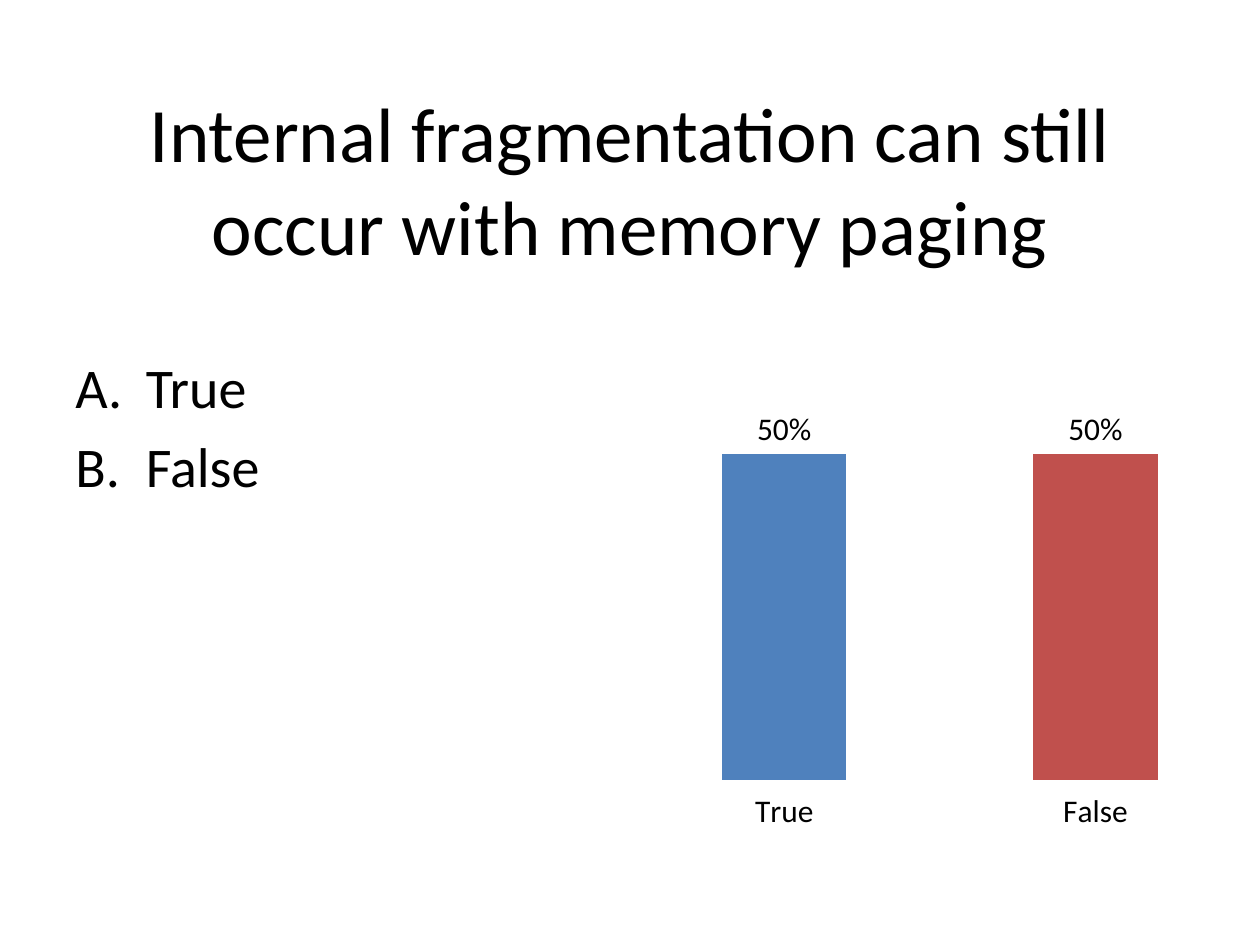
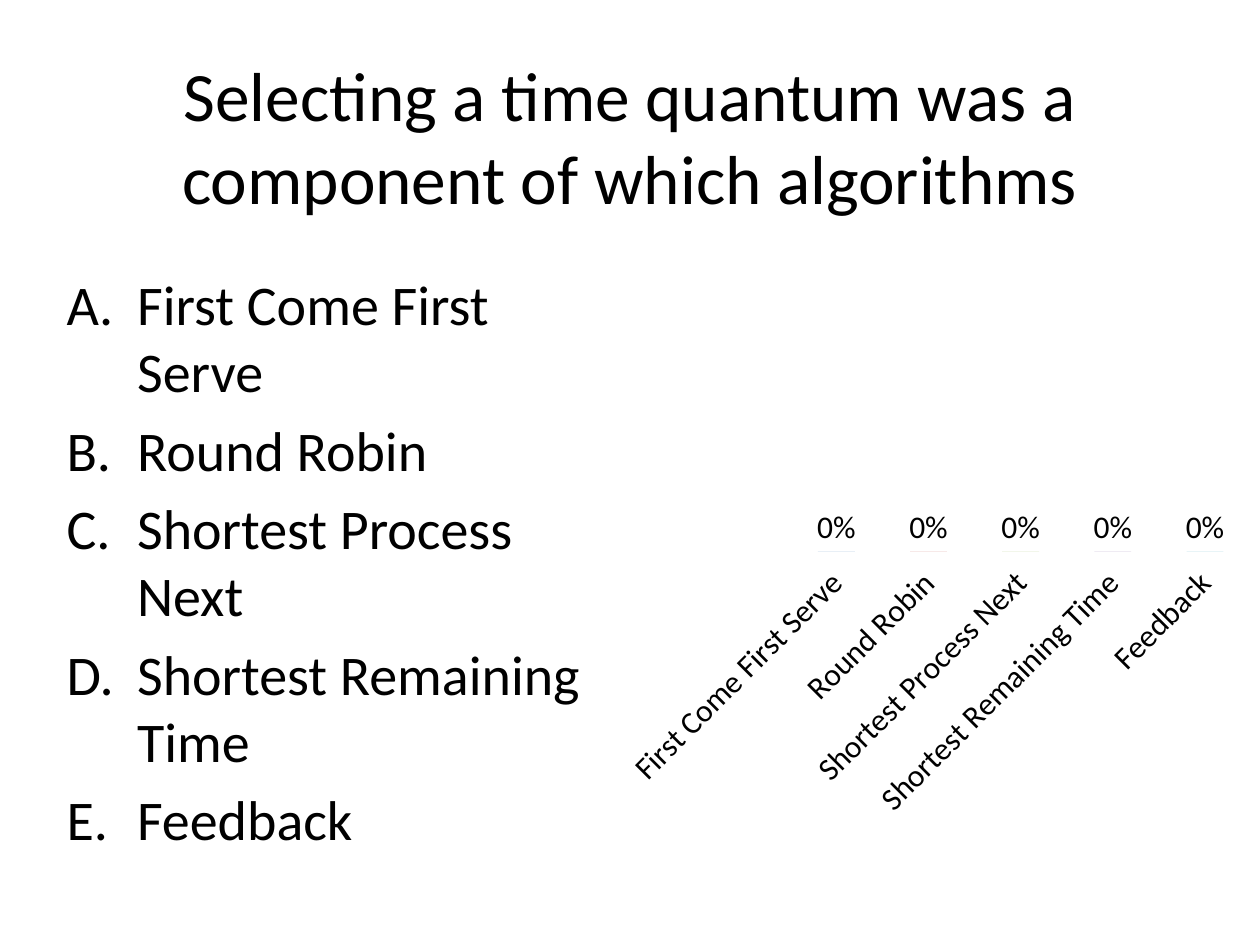
from lxml.etree import SubElement as Sub
from pptx import Presentation as Deck
from pptx.chart.data import CategoryChartData as Data
from pptx.dml.color import RGBColor as RGB
from pptx.enum.chart import XL_CHART_TYPE as Kind
from pptx.enum.chart import XL_LABEL_POSITION as Spot
from pptx.enum.chart import XL_TICK_LABEL_POSITION as Tick
from pptx.enum.text import MSO_ANCHOR as Anchor, PP_ALIGN as Align
from pptx.oxml import parse_xml
from pptx.oxml.ns import nsdecls, qn
from pptx.util import Inches, Pt

# Shared look
COLORS = {
    "text": "000000", "blue": "4F81BD", "red": "C0504D",
    "green": "9BBB59", "purple": "8064A2", "aqua": "4BACC6",
}
BARS = ["blue", "red", "green", "purple", "aqua"]
FONT = "Calibri"
PLOT = {"x": 0.008, "y": 0.072, "w": 0.992, "h": 0.76}
INDENT = 0.56

# One entry per question; boxes are left, top, width, height
POLLS = [
    {
        "title": "Internal fragmentation can still occur with memory paging",
        "size": 44,
        "votes": {"True": 0.5, "False": 0.5},
        "head": (0.5, 0.52, 9, 1.79),
        "list": (0.5, 2.75, 4.5, 4.21),
        "chart": (4.93, 2.75, 5, 4.62),
        "turn": 0,
    },
    {
        "title": "Selecting a time quantum was a component of which algorithms",
        "size": 39.6,
        "votes": dict.fromkeys([
            "First Come First Serve", "Round Robin", "Shortest Process Next",
            "Shortest Remaining Time", "Feedback"], 0),
        "head": (0.5, 0.45, 9, 1.25),
        "list": (0.43, 2.09, 4.5, 4.95),
        "chart": (4.93, 2.09, 5, 5.29),
        "turn": -45,
    },
]


def put(item, **values):
    for name, value in values.items():
        setattr(item, name, value)


def color(name):
    return RGB.from_string(COLORS[name])


def style(font, size):
    put(font, name=FONT, size=Pt(size))
    font.color.rgb = color("text")


def add_box(slide, area, anchor):
    frame = slide.shapes.add_textbox(*map(Inches, area)).text_frame
    put(frame, word_wrap=True, vertical_anchor=anchor)
    return frame


def add_title(slide, text, size, area):
    para = add_box(slide, area, Anchor.MIDDLE).paragraphs[0]
    put(para, text=text, alignment=Align.CENTER)
    style(para.runs[0].font, size)


def add_list(slide, items, area):
    frame = add_box(slide, area, Anchor.TOP)
    for i, item in enumerate(items):
        para = frame.add_paragraph() if i else frame.paragraphs[0]
        put(para, text=item, space_before=Pt(6.4 if i else 0))
        # Hanging letter: A. B. C.
        props = para._p.get_or_add_pPr()
        props.set("marL", str(Inches(INDENT)))
        props.set("indent", str(-Inches(INDENT)))
        Sub(props, qn("a:buFont"), typeface=FONT)
        Sub(props, qn("a:buAutoNum"), type="alphaUcPeriod")
        style(para.runs[0].font, 32)


def place_plot(chart):
    area = chart._chartSpace.chart.plotArea
    for old in area.findall(qn("c:layout")):
        area.remove(old)
    modes = "".join(f'<c:{k}Mode val="edge"/>' for k in "xy")
    sizes = "".join(f'<c:{k} val="{v}"/>' for k, v in PLOT.items())
    area.insert(0, parse_xml(
        f"<c:layout {nsdecls('c')}><c:manualLayout>{modes}{sizes}"
        "</c:manualLayout></c:layout>"))


def add_chart(slide, votes, area, turn):
    data = Data(number_format="0%")
    data.categories = list(votes)
    data.add_series("Series 1", list(votes.values()))
    chart = slide.shapes.add_chart(
        Kind.COLUMN_CLUSTERED, *map(Inches, area), data).chart
    put(chart, has_title=False, has_legend=False)
    style(chart.font, 18)
    place_plot(chart)

    # Axes: names below, no lines, no scale
    for axis in (chart.category_axis, chart.value_axis):
        put(axis, has_major_gridlines=False)
        axis.format.line.fill.background()
    put(chart.value_axis, minimum_scale=0,
        tick_label_position=Tick.NONE)
    if turn:
        names = chart.category_axis
        style(names.tick_labels.font, 18)
        body = names._element.find(qn("c:txPr")).find(qn("a:bodyPr"))
        body.set("rot", str(turn * 60000))

    # Bars: one colour each, share on top
    plot = chart.plots[0]
    put(plot, gap_width=150, vary_by_categories=False, has_data_labels=True)
    put(plot.data_labels, show_value=True, number_format="0%",
        number_format_is_linked=False, position=Spot.OUTSIDE_END)
    for i, name in zip(range(len(votes)), BARS):
        fill = plot.series[0].points[i].format.fill
        fill.solid()
        fill.fore_color.rgb = color(name)


def main():
    deck = Deck()
    put(deck, slide_width=Inches(10), slide_height=Inches(7.5))
    for poll in POLLS:
        slide = deck.slides.add_slide(deck.slide_layouts[6])
        add_chart(slide, poll["votes"], poll["chart"], poll["turn"])
        add_title(slide, poll["title"], poll["size"], poll["head"])
        add_list(slide, poll["votes"], poll["list"])
    deck.save("out.pptx")


if __name__ == "__main__":
    main()
